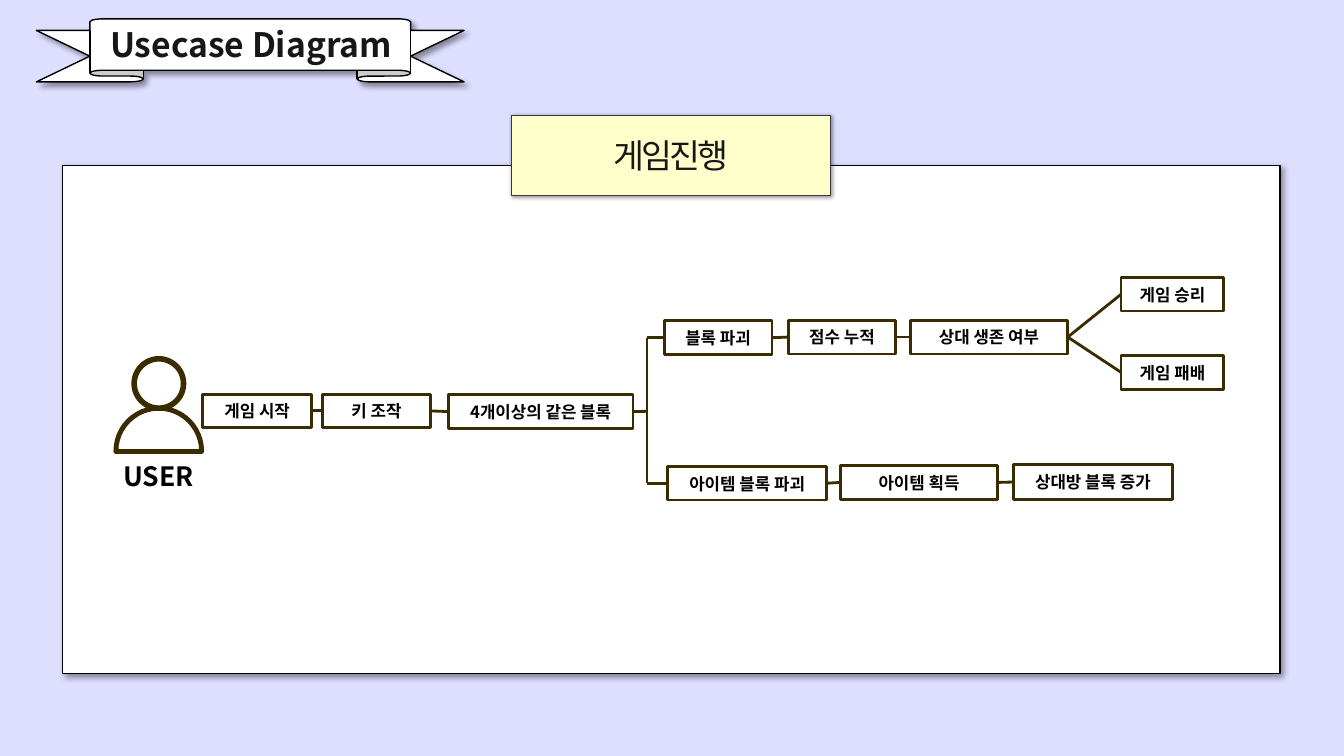
import pptx
import pptx.util
import pptx.dml.color
import pptx.enum.shapes
import pptx.enum.text
import pptx.oxml
import pptx.oxml.ns

Pt = pptx.util.Pt
SHAPE = pptx.enum.shapes.MSO_SHAPE
STRAIGHT = pptx.enum.shapes.MSO_CONNECTOR.STRAIGHT
MIDDLE = pptx.enum.text.MSO_ANCHOR.MIDDLE
TOP = pptx.enum.text.MSO_ANCHOR.TOP
FONT = "Noto Sans CJK KR"
BROWN = "3A2C00"
INK = "181717"


def color(hex_code):
    return pptx.dml.color.RGBColor.from_string(hex_code)


def write(box, text, size=12, ink="000000", bold=True, anchor=MIDDLE, spacing=None):
    frame = box.text_frame
    frame.word_wrap = False
    frame.vertical_anchor = anchor
    frame.margin_left = frame.margin_right = Pt(9.4)
    frame.margin_top = frame.margin_bottom = Pt(5)
    para = frame.paragraphs[0]
    para.alignment = pptx.enum.text.PP_ALIGN.CENTER
    span = para.add_run()
    span.text = text
    span.font.size = Pt(size)
    span.font.bold = bold
    span.font.color.rgb = color(ink)
    span.font.name = FONT
    props = span.font._element
    pptx.oxml.ns.qn("a:ea")
    east_asian = props.makeelement(pptx.oxml.ns.qn("a:ea"), {"typeface": FONT})
    props.find(pptx.oxml.ns.qn("a:latin")).addnext(east_asian)
    if spacing is not None:
        props.set("spc", str(spacing * 100))


deck = pptx.Presentation()
deck.slide_width, deck.slide_height = Pt(960), Pt(540)
page = deck.slides.add_slide(deck.slide_layouts[6])
page.background.fill.solid()
page.background.fill.fore_color.rgb = color("DEDEFF")

# Shadowed panel, title ribbon and heading card
cards = {}
for name, kind, place, fill, edge, blur, distance in [
    ("panel", SHAPE.RECTANGLE, (44.6, 118.1, 869.8, 362.9), "FFFFFF", "000000", 4, 3),
    ("ribbon", SHAPE.UP_RIBBON, (26, 13.5, 305.5, 45), "FFFFFF", "000000", 4, 3),
    ("heading", SHAPE.RECTANGLE, (365.2, 82.5, 228.2, 57), "FFFFCC", "3B3838", 3, 1),
]:
    card = page.shapes.add_shape(kind, *map(Pt, place))
    card.fill.solid()
    card.fill.fore_color.rgb = color(fill)
    card.line.color.rgb = color(edge)
    card.line.width = Pt(1)
    card._element.spPr.append(pptx.oxml.parse_xml(
        f'<a:effectLst {pptx.oxml.ns.nsdecls("a")}>'
        f'<a:outerShdw blurRad="{Pt(blur)}" dist="{Pt(distance)}" dir="2700000" algn="tl" rotWithShape="0">'
        '<a:srgbClr val="000000"><a:alpha val="40000"/></a:srgbClr></a:outerShdw></a:effectLst>'))
    cards[name] = card
cards["ribbon"].adjustments[0] = 0.184
cards["ribbon"].adjustments[1] = 0.75

title = page.shapes.add_textbox(Pt(68.4), Pt(12.2), Pt(221.8), Pt(39))
write(title, "Usecase Diagram", size=24, ink=INK, anchor=TOP)
write(cards["heading"], "게임진행", size=24, ink=INK, bold=False, spacing=-2)

# User figure
user = page.shapes.add_group_shape()
for kind, place, width in [
    (SHAPE.CHORD, (82.8, 291.6, 61.2, 61.2), 3.5),
    (SHAPE.OVAL, (95.8, 256.3, 35.3, 35.3), 4),
]:
    part = user.shapes.add_shape(kind, *map(Pt, place))
    part.shadow.inherit = False
    part.fill.background()
    part.line.color.rgb = color(BROWN)
    part.line.width = Pt(width)
    if kind == SHAPE.CHORD:
        part.adjustments[0] = 107.64
        part.adjustments[1] = 0.332
label = user.shapes.add_textbox(Pt(78.5), Pt(323.3), Pt(69.8), Pt(31.7))
write(label, "USER", size=19, anchor=TOP)

# Steps: text, left, top, width, height
steps = {}
for text, *place in [
    ("게임 시작", 144.7, 281.5, 78, 24),
    ("키 조작", 230.4, 281.5, 77, 24),
    ("4개이상의 같은 블록", 320.2, 282, 132, 24),
    ("블록 파괴", 474.5, 229.2, 77, 24),
    ("점수 누적", 563, 228.8, 77, 24),
    ("상대 생존 여부", 650.2, 228.8, 112.5, 24),
    ("게임 승리", 800.8, 198.2, 73.4, 24),
    ("게임 패배", 800.8, 254, 73.4, 24),
    ("아이템 블록 파괴", 476.8, 333.2, 113.8, 24),
    ("아이템 획득", 600.2, 332.6, 112.6, 24),
    ("상대방 블록 증가", 723.8, 331.8, 113.8, 25),
]:
    step = page.shapes.add_shape(SHAPE.RECTANGLE, *map(Pt, place))
    step.shadow.inherit = False
    step.fill.background()
    step.line.color.rgb = color(BROWN)
    step.line.width = Pt(2)
    write(step, text)
    steps[text] = step

# Links: each end is a step name or a free point
fork = (462.2, 293.8)
upper, lower = (462.2, 241.2), (462.2, 345.2)
for start, end in [
    ("게임 시작", "키 조작"),
    ("키 조작", "4개이상의 같은 블록"),
    ("4개이상의 같은 블록", fork),
    (fork, upper),
    (fork, lower),
    (upper, "블록 파괴"),
    (lower, "아이템 블록 파괴"),
    ("블록 파괴", "점수 누적"),
    ("점수 누적", "상대 생존 여부"),
    ("상대 생존 여부", "게임 승리"),
    ("상대 생존 여부", "게임 패배"),
    ("아이템 블록 파괴", "아이템 획득"),
    ("아이템 획득", "상대방 블록 증가"),
]:
    first = fork if start in steps else start
    last = fork if end in steps else end
    link = page.shapes.add_connector(STRAIGHT, *map(Pt, first + last))
    if start in steps:
        link.begin_connect(steps[start], 3)
    if end in steps:
        link.end_connect(steps[end], 1)
    link.line.color.rgb = color(BROWN)
    link.line.width = Pt(2)
    link._element.spPr.append(pptx.oxml.parse_xml(f'<a:effectLst {pptx.oxml.ns.nsdecls("a")}/>'))

deck.save("out.pptx")
